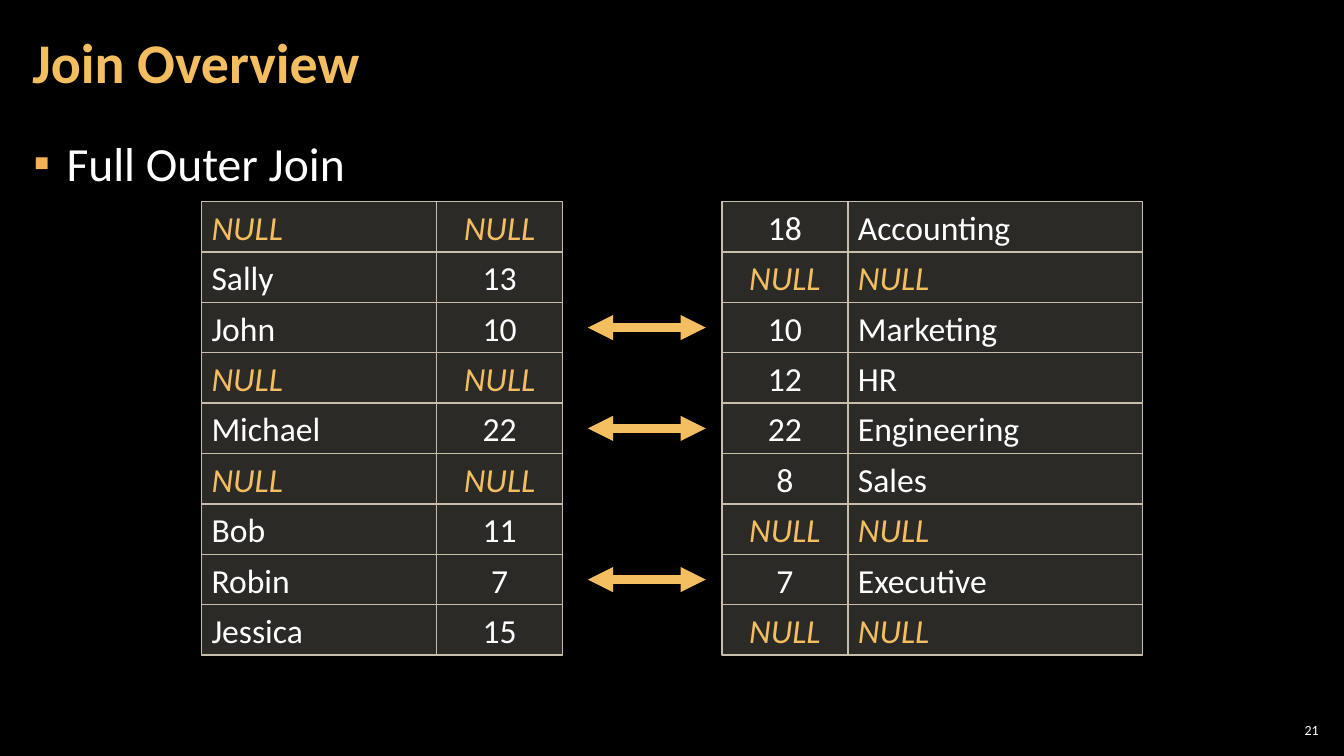
"""Build the Join Overview slide showing a full outer join of two tables."""
from lxml import etree
from pptx import Presentation
from pptx.dml.color import RGBColor
from pptx.enum.shapes import MSO_CONNECTOR, MSO_SHAPE
from pptx.enum.text import MSO_ANCHOR, MSO_AUTO_SIZE, PP_ALIGN
from pptx.oxml.ns import qn
from pptx.util import Inches, Pt

STRAIGHT = MSO_CONNECTOR.STRAIGHT
RECTANGLE = MSO_SHAPE.RECTANGLE
TOP, MIDDLE = MSO_ANCHOR.TOP, MSO_ANCHOR.MIDDLE
LEFT, CENTER, RIGHT = PP_ALIGN.LEFT, PP_ALIGN.CENTER, PP_ALIGN.RIGHT
NO_AUTOFIT = MSO_AUTO_SIZE.NONE

THEME = {
    "font": "Calibri",
    "background": RGBColor.from_string("000000"),
    "text": RGBColor.from_string("FFFFFF"),
    "accent": RGBColor.from_string("F3BE60"),
    "bullet": RGBColor.from_string("F2B254"),
    "cell": RGBColor.from_string("D9D5C7"),
    "border": RGBColor.from_string("C7BFAC"),
    "title_size": Pt(40),
    "body_size": Pt(34),
    "cell_size": Pt(24),
    "number_size": Pt(10),
}
NULL = "NULL"
ROW_HEIGHT = 0.5
ROWS_TOP = 2
EMPLOYEES = [
    (NULL, NULL), ("Sally", "13"), ("John", "10"), (NULL, NULL), ("Michael", "22"),
    (NULL, NULL), ("Bob", "11"), ("Robin", "7"), ("Jessica", "15"),
]
DEPARTMENTS = [
    ("18", "Accounting"), (NULL, NULL), ("10", "Marketing"), ("12", "HR"),
    ("22", "Engineering"), ("8", "Sales"), (NULL, NULL), ("7", "Executive"), (NULL, NULL),
]
employee_names, employee_keys = zip(*EMPLOYEES)
department_keys, department_names = zip(*DEPARTMENTS)
COLUMNS = [
    (2, 2.33, LEFT, employee_names),
    (4.33, 1.25, CENTER, employee_keys),
    (7.16, 1.25, CENTER, department_keys),
    (8.41, 2.92, LEFT, department_names),
]


def add_element(parent, tag, **attributes):
    """Append an XML element and return it."""
    return etree.SubElement(parent, qn(tag), attributes)


def write_text(text_frame, text, size, color="text", alignment=LEFT, **font_format):
    """Write one formatted paragraph and return it."""
    paragraph = text_frame.paragraphs[0]
    paragraph.alignment = alignment
    run = paragraph.add_run()
    run.text = text
    font_values = {"name": THEME["font"], "size": THEME[size], **font_format}
    for name, value in font_values.items():
        setattr(run.font, name, value)
    run.font.color.rgb = THEME[color]
    return paragraph


presentation = Presentation()
presentation.slide_width = Inches(13.33)
presentation.slide_height = Inches(7.5)
slide = presentation.slides.add_slide(presentation.slide_layouts[1])
slide.background.fill.solid()
slide.background.fill.fore_color.rgb = THEME["background"]

title = slide.shapes.title
body = slide.placeholders[1]
number_box = slide.shapes.add_textbox(
    Inches(12.65), Inches(7.14), Inches(0.47), Inches(0.21))
frames = [
    (title, (0.2, 0.04, 10.47, 1.21), 0.12, MIDDLE),
    (body, (0.21, 1.26, 12.91, 6.09), 0.12, TOP),
    (number_box, (12.65, 7.14, 0.47, 0.21), 0.04, MIDDLE),
]
for shape, bounds, side_margin, anchor in frames:
    shape.left, shape.top, shape.width, shape.height = map(Inches, bounds)
    frame_format = {
        "word_wrap": True, "auto_size": NO_AUTOFIT, "vertical_anchor": anchor,
        "margin_left": Inches(side_margin), "margin_right": Inches(side_margin),
        "margin_top": Inches(0.04), "margin_bottom": Inches(0.04),
    }
    for name, value in frame_format.items():
        setattr(shape.text_frame, name, value)

heading = write_text(title.text_frame, "Join Overview", "title_size", "accent", bold=True)
heading.line_spacing = 0.9
write_text(number_box.text_frame, "21", "number_size", alignment=RIGHT)

join_type = write_text(body.text_frame, "Full Outer Join", "body_size")
join_type.line_spacing = 1.05
join_type.space_before = Pt(0)
join_type.space_after = Pt(6)
properties = join_type._p.get_or_add_pPr()
properties.set("marL", str(Inches(0.33)))
properties.set("indent", str(Inches(-0.33)))
add_element(add_element(properties, "a:buClr"), "a:srgbClr", val=str(THEME["bullet"]))
add_element(properties, "a:buChar", char="▪")

for left, width, alignment, values in COLUMNS:
    for row_index, value in enumerate(values):
        cell = slide.shapes.add_shape(
            RECTANGLE, Inches(left), Inches(ROWS_TOP + ROW_HEIGHT * row_index),
            Inches(width), Inches(ROW_HEIGHT))
        cell.shadow.inherit = False
        cell.fill.solid()
        cell.fill.fore_color.rgb = THEME["cell"]
        fill_color = cell._element.spPr.find(qn("a:solidFill")).find(qn("a:srgbClr"))
        add_element(fill_color, "a:alpha", val="20000")
        cell.line.color.rgb = THEME["border"]
        cell.line.width = Pt(1)
        cell.text_frame.word_wrap = True
        cell.text_frame.vertical_anchor = MIDDLE
        is_null = value == NULL
        write_text(cell.text_frame, value, "cell_size", "accent" if is_null else "text",
                   alignment, italic=is_null)

for row_index, (employee_key, department_key) in enumerate(zip(employee_keys, department_keys)):
    if employee_key == department_key != NULL:
        middle = Inches(ROWS_TOP + ROW_HEIGHT * (row_index + 0.5))
        arrow = slide.shapes.add_connector(STRAIGHT, Inches(5.83), middle, Inches(7), middle)
        arrow.line.width = Pt(6)
        arrow.line.color.rgb = THEME["accent"]
        for end in ("a:headEnd", "a:tailEnd"):
            add_element(arrow.line._get_or_add_ln(), end, type="triangle")
        add_element(arrow._element.spPr, "a:effectLst")

presentation.save("out.pptx")
